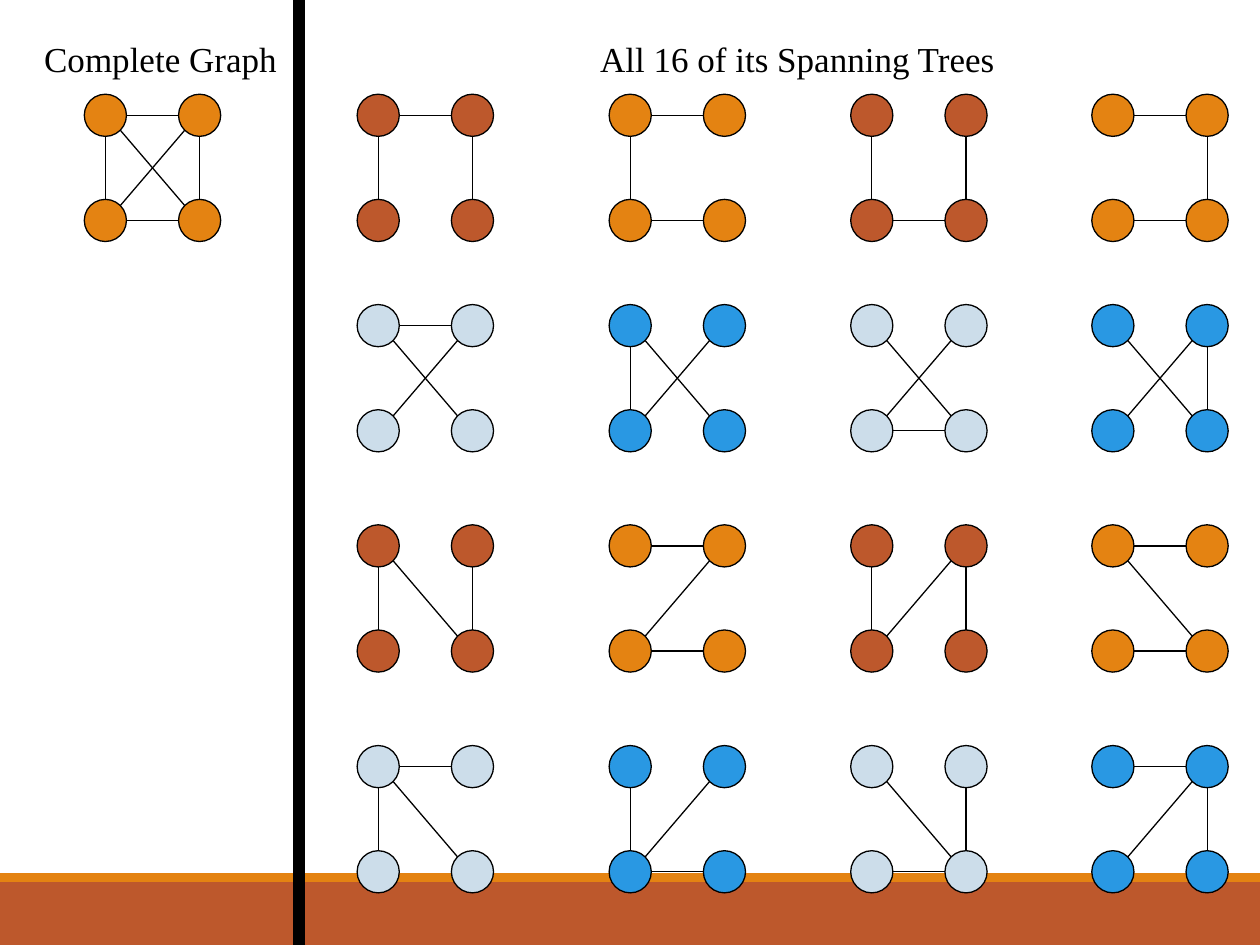
from itertools import cycle

from pptx import Presentation
from pptx.dml.color import RGBColor
from pptx.enum.shapes import MSO_CONNECTOR, MSO_SHAPE
from pptx.oxml.ns import qn
from pptx.util import Cm, Pt
from lxml.etree import SubElement

BLACK = RGBColor(0x00, 0x00, 0x00)
RUST = RGBColor(0xBD, 0x58, 0x2C)
ORANGE = RGBColor(0xE4, 0x83, 0x12)
PALE = RGBColor(0xCC, 0xDD, 0xEA)
BLUE = RGBColor(0x29, 0x98, 0xE3)

DIAMETER = 0.85
RADIUS = DIAMETER / 2
DIAGONAL_FACTOR = 0.71
NODE_OFFSETS = [(0, 0), (1.9, 0), (0, 2.12), (1.9, 2.12)]

COLUMNS = [7.2, 12.28, 17.15, 22.01]
ROWS = [1.9, 6.14, 10.58, 15.03]
ROW_COLORS = [(RUST, ORANGE), (PALE, BLUE), (RUST, ORANGE), (PALE, BLUE)]
COMPLETE_EDGES = "01 02 23 13 12 03"
TREES = [
    ["01 02 13", "01 02 23", "02 23 13", "01 13 23"],
    ["01 12 03", "02 12 03", "23 12 03", "13 12 03"],
    ["02 13 03", "01 23 12", "02 13 12", "01 23 03"],
    ["01 02 03", "02 23 12", "23 13 03", "01 13 12"],
]


def direction(start, end):
    return (end > start) - (end < start)


class SlideBuilder:
    font_format = {"name": "Times New Roman", "size": Pt(20)}
    line_width = Pt(0.75)

    def __init__(self, slide):
        self.slide = slide

    def outline(self, line):
        line.color.rgb = BLACK
        line.width = self.line_width

    def shape(self, kind, left, top, width, height, color, outlined=True):
        shape = self.slide.shapes.add_shape(
            kind, Cm(left), Cm(top), Cm(width), Cm(height))
        shape.shadow.inherit = False
        shape.fill.solid()
        shape.fill.fore_color.rgb = color
        if outlined:
            self.outline(shape.line)
        else:
            shape.line.fill.background()

    def edge(self, start, end):
        across, down = map(direction, start, end)
        reach = RADIUS * DIAGONAL_FACTOR if across and down else RADIUS
        connector = self.slide.shapes.add_connector(
            MSO_CONNECTOR.STRAIGHT,
            Cm(start[0] + across * reach), Cm(start[1] + down * reach),
            Cm(end[0] - across * reach), Cm(end[1] - down * reach))
        self.outline(connector.line)
        SubElement(connector._element.spPr, qn("a:effectLst"))

    def graph(self, left, top, color, edges):
        corners = [(left + x, top + y) for x, y in NODE_OFFSETS]
        for x, y in corners:
            self.shape(MSO_SHAPE.OVAL, x, y, DIAMETER, DIAMETER, color)
        centers = [(x + RADIUS, y + RADIUS) for x, y in corners]
        for first, second in edges.split():
            self.edge(centers[int(first)], centers[int(second)])

    def heading(self, left, top, width, height, text):
        box = self.slide.shapes.add_textbox(
            Cm(left), Cm(top), Cm(width), Cm(height))
        box.text_frame.word_wrap = True
        para = box.text_frame.paragraphs[0]
        span = para.add_run()
        span.text = text
        for name, value in self.font_format.items():
            setattr(span.font, name, value)
        span.font.color.rgb = BLACK


def main():
    deck = Presentation()
    deck.slide_width, deck.slide_height = Cm(25.4), Cm(19.05)
    builder = SlideBuilder(deck.slides.add_slide(deck.slide_layouts[6]))

    builder.shape(MSO_SHAPE.RECTANGLE, 0, 17.78, 25.4, 1.27, RUST, False)
    builder.shape(MSO_SHAPE.RECTANGLE, 0, 17.6, 25.4, 0.18, ORANGE, False)

    builder.heading(0.64, 0.64, 5.29, 1.09, "Complete Graph")
    builder.graph(1.7, ROWS[0], ORANGE, COMPLETE_EDGES)

    builder.heading(11.85, 0.64, 8.89, 1.09, "All 16 of its Spanning Trees")
    for top, colors, trees in zip(ROWS, ROW_COLORS, TREES):
        for left, color, edges in zip(COLUMNS, cycle(colors), trees):
            builder.graph(left, top, color, edges)

    builder.shape(MSO_SHAPE.RECTANGLE, 5.93, 0, 0.21, 19.05, BLACK)
    deck.save("out.pptx")


if __name__ == "__main__":
    main()
